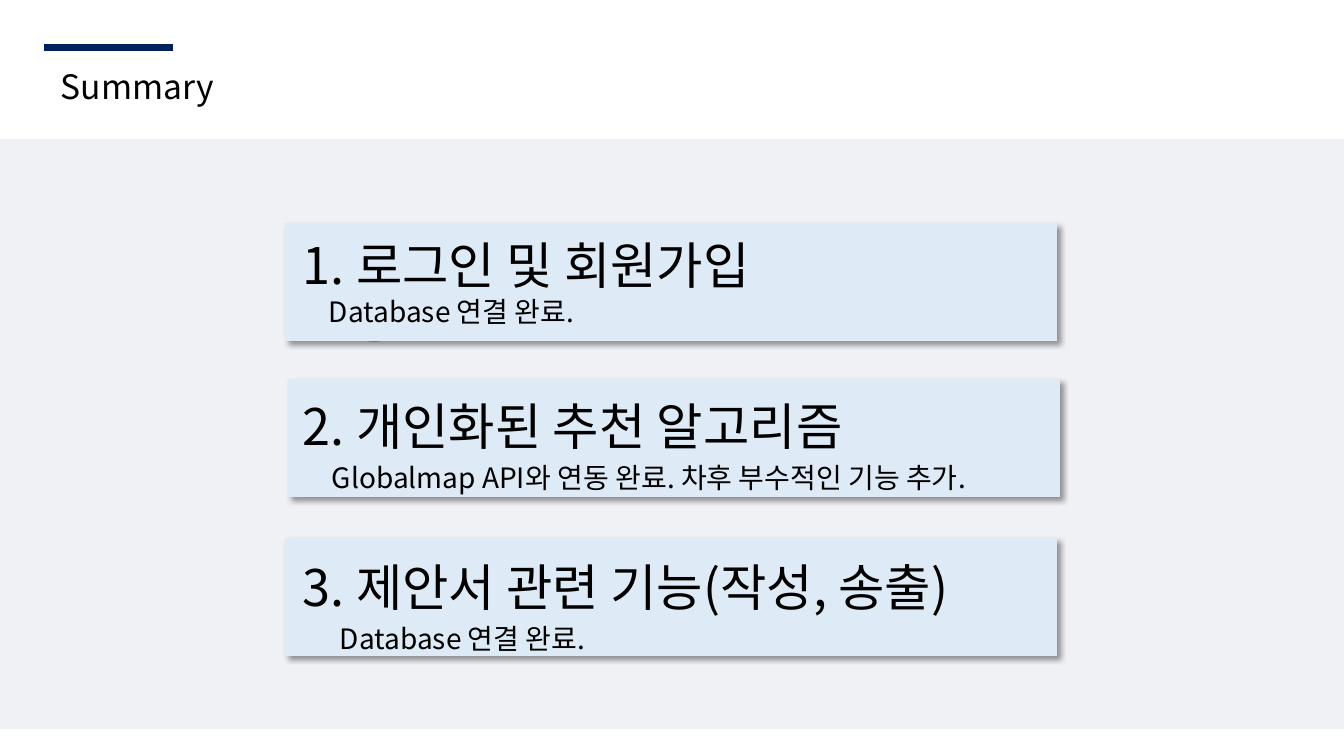
from pptx import Presentation
from pptx.dml.color import RGBColor
from pptx.enum.shapes import MSO_CONNECTOR, MSO_SHAPE
from pptx.enum.text import MSO_AUTO_SIZE
from pptx.oxml import parse_xml
from pptx.oxml.ns import nsdecls, qn
from pptx.util import Pt

RECT = MSO_SHAPE.RECTANGLE
OVAL = MSO_SHAPE.OVAL
LINE = MSO_CONNECTOR.STRAIGHT
GROW = MSO_AUTO_SIZE.SHAPE_TO_FIT_TEXT

NAVY = RGBColor(0x00, 0x20, 0x60)
SKY = RGBColor(0x87, 0xCE, 0xFA)
PALE = RGBColor(0xDE, 0xEB, 0xF7)
BLACK = RGBColor(0x00, 0x00, 0x00)

SHADOW = (
    f'<a:effectLst {nsdecls("a")}>'
    '<a:outerShdw blurRad="50800" dist="38100" dir="2700000" algn="tl" rotWithShape="0">'
    '<a:srgbClr val="000000"><a:alpha val="40000"/></a:srgbClr>'
    '</a:outerShdw></a:effectLst>'
)


def px(n):
    """Turn pixels (100.8 to the inch) into EMU."""
    return round(n * 914400 / 100.8)


class Deck:
    font = "Noto Sans CJK KR"

    def __init__(self, wide, high):
        self.prs = Presentation()
        self.prs.slide_width = px(wide)
        self.prs.slide_height = px(high)
        self.slide = self.prs.slides.add_slide(self.prs.slide_layouts[6])

    def shape(self, kind, box, color, alpha=None, shadow=False):
        """Add a filled shape without outline; alpha is opacity in percent."""
        shape = self.slide.shapes.add_shape(kind, *map(px, box))
        shape.fill.solid()
        shape.fill.fore_color.rgb = color
        shape.line.fill.background()
        props = shape.element.spPr
        if alpha is not None:
            tint = props.find(qn("a:solidFill"))[0]
            tint.append(parse_xml(f'<a:alpha {nsdecls("a")} val="{alpha * 1000}"/>'))
        if shadow:
            props.append(parse_xml(SHADOW))
        else:
            shape.shadow.inherit = False

    def line(self, start, end, color, width):
        line = self.slide.shapes.add_connector(LINE, *map(px, start + end))
        line.line.color.rgb = color
        line.line.width = Pt(width)
        line.element.spPr.append(parse_xml(f'<a:effectLst {nsdecls("a")}/>'))

    def text(self, box, paras):
        """Add a text box; each paragraph is (words, size, indent px, space before pt)."""
        frame = self.slide.shapes.add_textbox(*map(px, box)).text_frame
        frame.word_wrap = True
        frame.auto_size = GROW
        for i, (words, size, indent, before) in enumerate(paras):
            para = frame.add_paragraph() if i else frame.paragraphs[0]
            if indent:
                para._p.get_or_add_pPr().set("marL", str(px(indent)))
            if before:
                para.space_before = Pt(before)
            run = para.add_run()
            run.text = words
            run.font.size = Pt(size)
            run.font.color.rgb = BLACK
            run.font.name = self.font
            run._r.get_or_add_rPr().append(
                parse_xml(f'<a:ea {nsdecls("a")} typeface="{self.font}"/>'))


# card left, card top, text top, text width, text height, head, note, indent, space before
CARDS = [
    (285, 223, 229, 788, 105, "1. 로그인 및 회원가입", "Database 연결 완료.", 26, 0),
    (288, 379, 390, 767, 110, "2. 개인화된 추천 알고리즘",
     "Globalmap API와 연동 완료. 차후 부수적인 기능 추가.", 29, 3.5),
    (285, 538, 551, 788, 110, "3. 제안서 관련 기능(작성, 송출)", "Database 연결 완료.", 37, 3.5),
]


def main():
    deck = Deck(1344, 756)
    deck.shape(RECT, (0, 139, 1344, 590), NAVY, alpha=6)
    deck.line((44, 48), (173, 48), NAVY, 5)
    deck.text((51, 61, 455, 50), [("Summary", 24, 0, 0)])
    deck.shape(OVAL, (352, 302, 44, 40), SKY)
    for left, top, y, wide, high, head, note, indent, gap in CARDS:
        deck.shape(RECT, (left, top, 772, 118), PALE, shadow=True)
        deck.text((293, y, wide, high), [(head, 36, 0, 0), (note, 20, indent, gap)])
    deck.prs.save("out.pptx")


if __name__ == "__main__":
    main()
